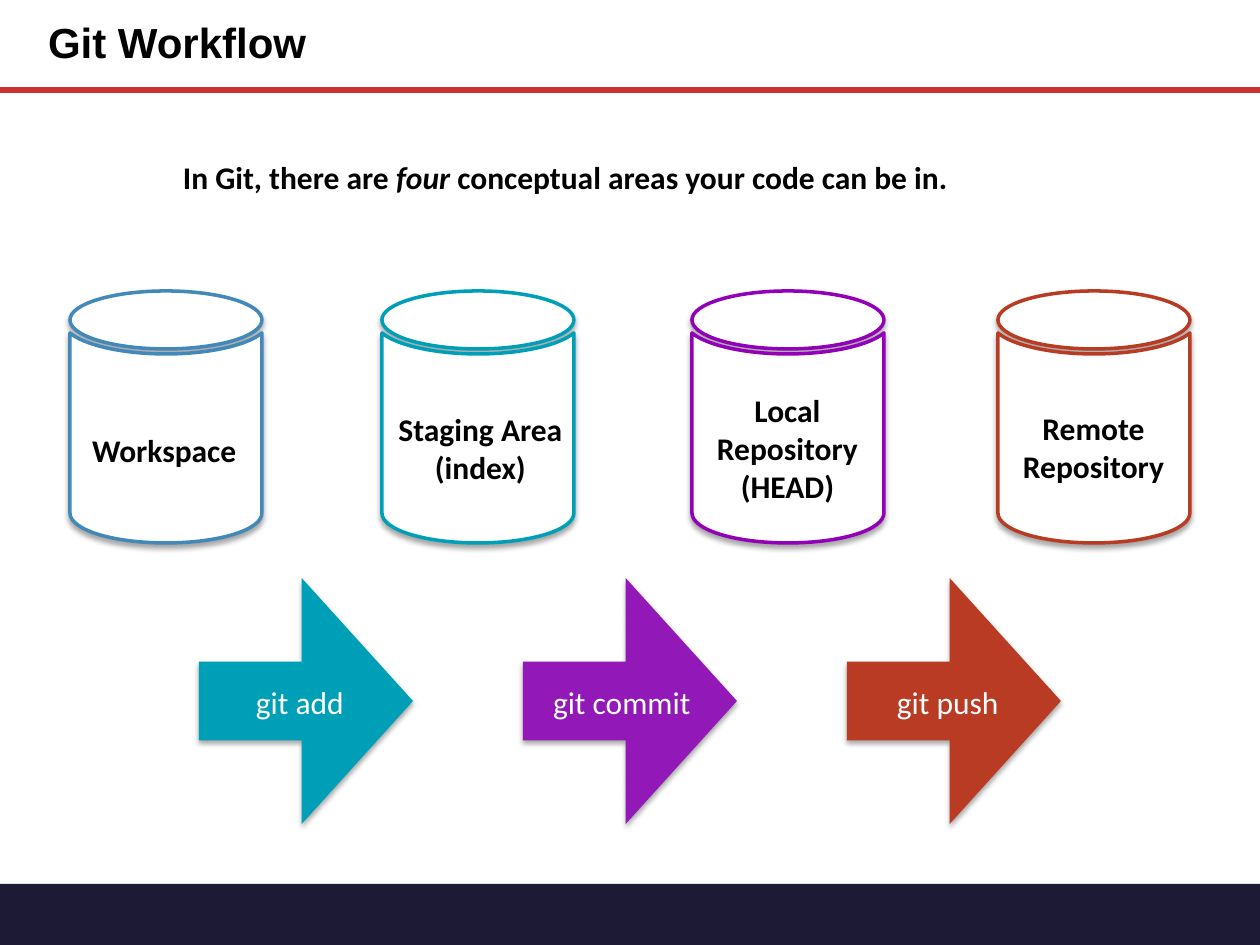
"""Build the Git Workflow slide with its four areas and three commands."""
import pptx
import pptx.dml.color
import pptx.enum.shapes
import pptx.enum.text
import pptx.oxml
import pptx.oxml.ns
import pptx.util
from lxml import etree

PX = 914400 // 126
HUES = {
    "navy": "1D1A36", "red": "C83232", "black": "000000", "white": "FFFFFF",
    "blue": "4288B8", "teal": "009FB8", "violet": "9200B8", "brick": "B83B24",
    "purple": "9219B8", "rust": "B93B24",
}
SHADE = (
    '<a:outerShdw xmlns:a="http://schemas.openxmlformats.org/drawingml/2006/main" '
    'blurRad="38100" dist="22860" dir="5400000" rotWithShape="0">'
    '<a:srgbClr val="000000"><a:alpha val="35000"/></a:srgbClr></a:outerShdw>'
)
LID = [
    (0, 291), (-53, 291), (-96, 304), (-96, 320), (-96, 336), (-53, 349), (0, 349),
    (53, 349), (96, 336), (96, 320), (96, 304), (53, 291), (0, 291),
]
BODY = [
    (-96, 333), (-96, 513), (-96, 530), (-53, 543), (0, 543), (53, 543), (96, 530),
    (96, 513), (96, 333), (82, 345), (44, 354), (0, 354), (-44, 354), (-82, 345), (-96, 333),
]
CURVES = (0, 3, 6, 9, 13, 16, 20, 23)
RGB = {name: pptx.dml.color.RGBColor.from_string(code) for name, code in HUES.items()}
KIND = pptx.enum.shapes.MSO_SHAPE
ALIGN = pptx.enum.text.PP_ALIGN
qn = pptx.oxml.ns.qn

deck = pptx.Presentation()
deck.slide_width = pptx.util.Inches(10)
deck.slide_height = pptx.util.Inches(7.5)
slide = deck.slides.add_slide(deck.slide_layouts[6])
shapes = slide.shapes


def label(text, place, hue="black", bold=True, align=ALIGN.LEFT, font="Calibri", size=18):
    box = shapes.add_textbox(*(n * PX for n in place))
    frame = box.text_frame
    frame.word_wrap = False
    frame.margin_left = frame.margin_right = 6 * PX
    frame.margin_top = frame.margin_bottom = 6 * PX
    frame.text = text
    for para in frame.paragraphs:
        para.alignment = align
        para.font.name = font
        para.font.size = pptx.util.Pt(size)
        para.font.bold = bold
        para.font.color.rgb = RGB[hue]
    return frame


def bend(shape, starts):
    lines = list(shape._element.spPr.iter(qn("a:lnTo")))
    for start in starts:
        first, *rest = lines[start:start + 3]
        curve = etree.Element(qn("a:cubicBezTo"))
        first.addprevious(curve)
        for line in (first, *rest):
            curve.append(line[0])
            line.getparent().remove(line)


bar = shapes.add_shape(KIND.RECTANGLE, 0, 884 * PX, 1261 * PX, 63 * PX)
bar.shadow.inherit = False
bar.fill.solid()
bar.fill.fore_color.rgb = RGB["navy"]
bar.line.fill.background()

rule = shapes.add_connector(
    pptx.enum.shapes.MSO_CONNECTOR.STRAIGHT, 0, 90 * PX, 1260 * PX, 90 * PX)
rule.line.color.rgb = RGB["red"]
rule.line.width = pptx.util.Pt(3.25)
etree.SubElement(rule._element.spPr, qn("a:effectLst"))

title = label("Git Workflow", (42, 0, 753, 90), font="Arial", size=24)
title.vertical_anchor = pptx.enum.text.MSO_ANCHOR.MIDDLE
title.paragraphs[0].line_spacing = 0.9

intro = label("In Git, there are ", (177, 152, 898, 49))
word = intro.paragraphs[0].add_run()
word.text = "four"
word.font.italic = True
intro.paragraphs[0].add_run().text = " conceptual areas your code can be in."

drums = [
    (166, "blue", "Workspace", (86, 425, 173, 49), ALIGN.LEFT),
    (478, "teal", "Staging Area\n(index)", (378, 404, 205, 86), ALIGN.CENTER),
    (788, "violet", "Local\nRepository\n(HEAD)", (697, 385, 181, 122), ALIGN.CENTER),
    (1094, "brick", "Remote\nRepository", (1008, 403, 171, 86), ALIGN.CENTER),
]
shaded = []
for mid, hue, text, place, align in drums:
    lid, body = ([(mid + x, y) for x, y in part] for part in (LID, BODY))
    pen = shapes.build_freeform(*lid[0], scale=PX)
    pen.add_line_segments(lid[1:], close=True)
    pen.move_to(*body[0])
    pen.add_line_segments(body[1:], close=True)
    drum = pen.convert_to_shape()
    bend(drum, CURVES)
    drum.fill.solid()
    drum.fill.fore_color.rgb = RGB["white"]
    drum.line.color.rgb = RGB[hue]
    drum.line.width = pptx.util.Pt(2)
    shaded.append(drum)
    label(text, place, align=align)

steps = [
    ("teal", "git add", 250, 113),
    ("purple", "git commit", 547, 168),
    ("rust", "git push", 891, 126),
]
for i, (hue, text, left, wide) in enumerate(steps):
    arrow = shapes.add_shape(
        KIND.RIGHT_ARROW, (199 + 324 * i) * PX, 578 * PX, 214 * PX, 246 * PX)
    arrow.adjustments[0] = 0.32
    arrow.adjustments[1] = 0.52
    arrow.fill.solid()
    arrow.fill.fore_color.rgb = RGB[hue]
    arrow.line.fill.background()
    shaded.append(arrow)
    label(text, (left, 677, wide, 49), hue="white", bold=False)

for shape in shaded:
    shape.shadow.inherit = False
    glow = shape._element.spPr.find(qn("a:effectLst"))
    glow.append(pptx.oxml.parse_xml(SHADE))

deck.save("out.pptx")
